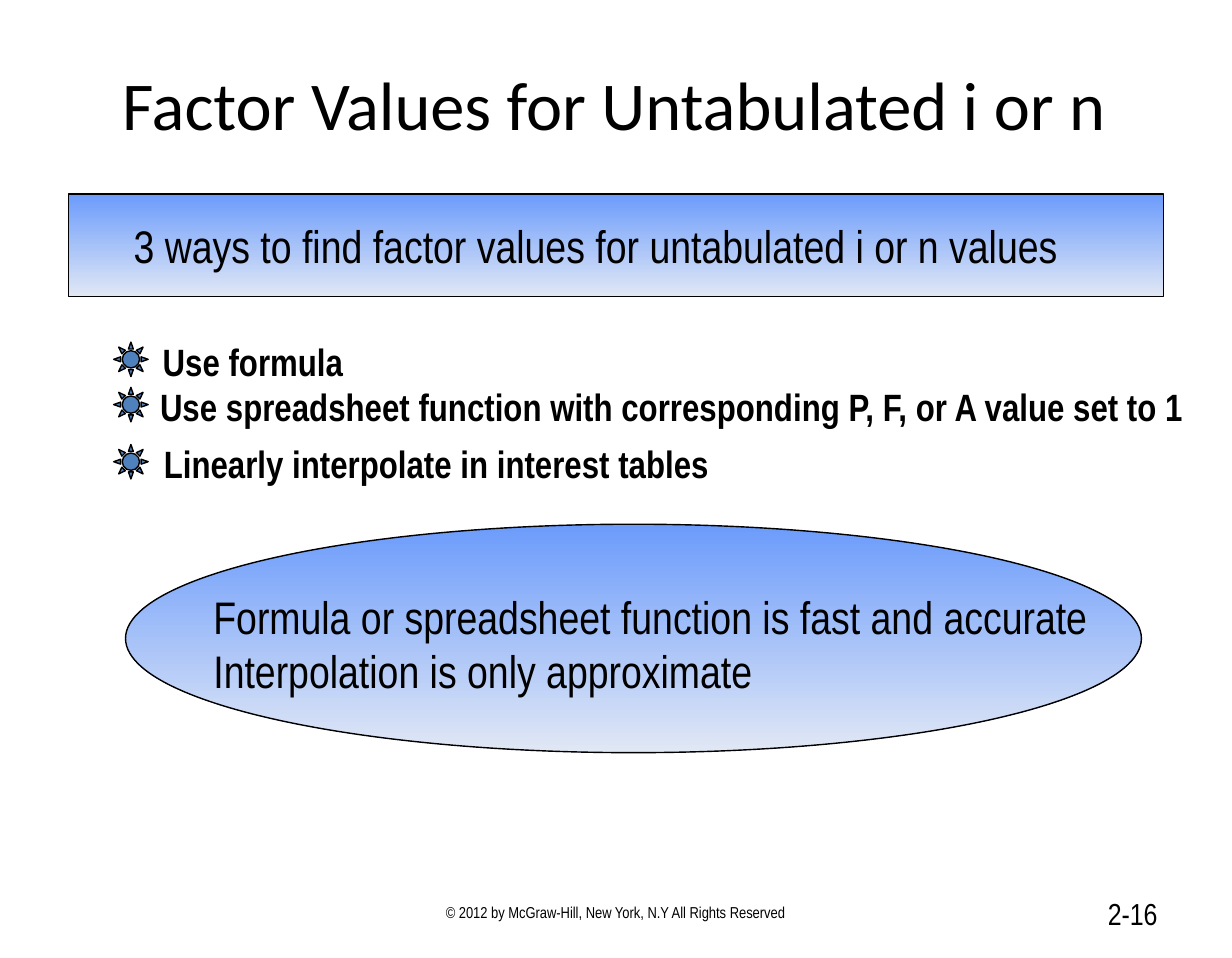
"""Build the slide on factor values for untabulated i or n."""
from pptx import Presentation
from pptx import util as u
from pptx.dml.color import RGBColor
from pptx.enum import shapes, text

BLACK = "000000"
NARROW = "Arial Narrow"
LEFT, CENTER, RIGHT = text.PP_ALIGN.LEFT, text.PP_ALIGN.CENTER, text.PP_ALIGN.RIGHT
TOP, MIDDLE = text.MSO_ANCHOR.TOP, text.MSO_ANCHOR.MIDDLE


def rgb(value):
    return RGBColor.from_string(value)


def add_text(box, lines, size, font=NARROW, bold=False, align=LEFT,
             anchor=TOP, wrap=True, spacing=1.0):
    tf = s.shapes.add_textbox(*map(u.Cm, box)).text_frame
    tf.word_wrap = wrap
    tf.vertical_anchor = anchor
    for i, line in enumerate(lines):
        p = tf.add_paragraph() if i else tf.paragraphs[0]
        p.alignment = align
        p.line_spacing = spacing
        r = p.add_run()
        r.text = line
        r.font.name = font
        r.font.size = u.Pt(size)
        r.font.bold = bold
        r.font.color.rgb = rgb(BLACK)


prs = Presentation()
prs.slide_width, prs.slide_height = u.Cm(22.86), u.Cm(17.78)
s = prs.slides.add_slide(prs.slide_layouts[6])

panels = [
    (shapes.MSO_SHAPE.RECTANGLE, (1.27, 3.6, 20.32, 1.91)),
    (shapes.MSO_SHAPE.OVAL, (2.33, 9.73, 18.85, 4.24)),
]
for kind, box in panels:
    sp = s.shapes.add_shape(kind, *map(u.Cm, box))
    sp.shadow.inherit = False
    sp.fill.gradient()
    sp.fill.gradient_angle = 270
    for stop, position, color in zip(sp.fill.gradient_stops, (0, 1), ("6B9BFB", "E1E8F5")):
        stop.position = position
        stop.color.rgb = rgb(color)
    sp.line.color.rgb = rgb(BLACK)
    sp.line.width = u.Pt(0.75)

add_text((1.68, 0.43, 19.43, 2.97), ["Factor Values for Untabulated i or n"], 36,
         font="Calibri", align=CENTER, anchor=MIDDLE)
add_text((2.23, 3.92, 18.52, 1.27),
         ["3 ways to find factor values for untabulated i or n values"], 24)

ways = [
    (6.35, 2.77, 3.86, "Use formula"),
    (7.19, 2.72, 19.66, "Use spreadsheet function with corresponding P, F, or A value set to 1"),
    (8.25, 2.79, 10.62, "Linearly interpolate in interest tables"),
]
for top, left, width, way in ways:
    sp = s.shapes.add_shape(shapes.MSO_SHAPE.SUN, u.Cm(2.11), u.Cm(top), u.Cm(0.64), u.Cm(0.64))
    sp.shadow.inherit = False
    sp.fill.solid()
    sp.fill.fore_color.rgb = rgb("4F81BD")
    sp.line.color.rgb = rgb(BLACK)
    sp.line.width = u.Pt(0.75)
    add_text((left, top - 0.2, width, 1.12), [way], 20, bold=True, wrap=False)

add_text((3.71, 10.8, 17.2, 2.29),
         ["Formula or spreadsheet function is fast and accurate",
          "Interpolation is only approximate"], 24)

add_text((7.8, 16.48, 7.24, 0.94),
         ["© 2012 by McGraw-Hill, New York, N.Y All Rights Reserved"], 8.3,
         align=CENTER, anchor=MIDDLE, spacing=0.9)
add_text((16.4, 16.48, 5.33, 0.94), ["2-16"], 16, align=RIGHT, anchor=MIDDLE)

prs.save("out.pptx")
